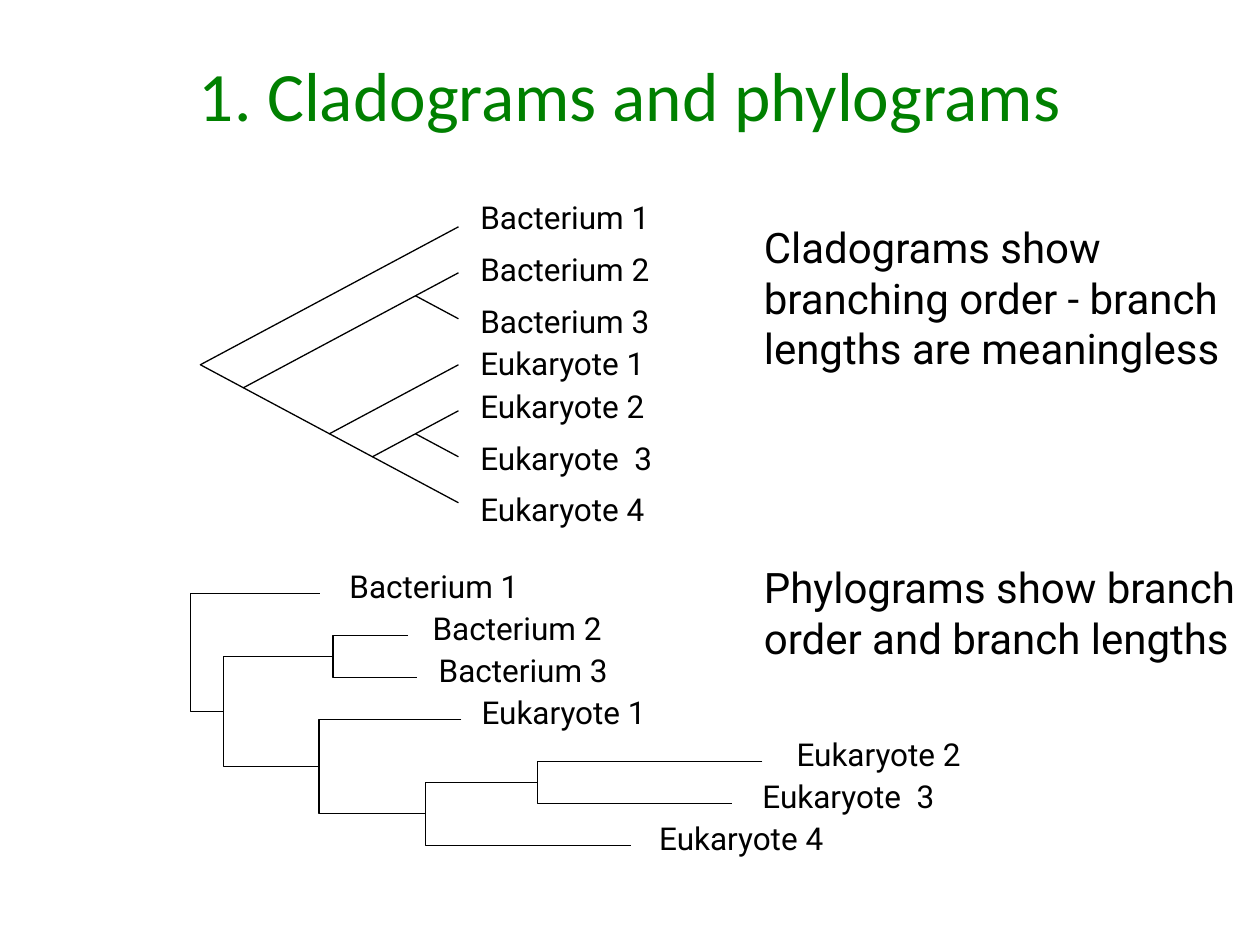
from collections import namedtuple

from lxml.etree import SubElement
from pptx import Presentation
from pptx.dml.color import RGBColor
from pptx.enum.shapes import MSO_CONNECTOR
from pptx.enum.text import MSO_ANCHOR, PP_ALIGN
from pptx.oxml.ns import qn
from pptx.util import Pt

BLACK = RGBColor(0x00, 0x00, 0x00)
GREEN = RGBColor(0x00, 0x80, 0x00)
LINE_WIDTH = Pt(0.75)

Tip = namedtuple("Tip", "row x label_x name")
Node = namedtuple("Node", "x upper lower")

SPECIES = ["Bacterium 1", "Bacterium 2", "Bacterium 3", "Eukaryote 1",
           "Eukaryote 2", "Eukaryote  3", "Eukaryote 4"]
CLADOGRAM_LABEL_TOPS = [-16.5, 13, 43, 67, 91.5, 121, 150.5]
PHYLOGRAM_TIPS = [Tip(row, x, label_x, name) for row, (x, label_x, name) in enumerate(zip(
    [74, 124.5, 129.5, 155, 327, 309.5, 252],
    [88, 135.5, 139, 163.5, 343.5, 324, 265],
    SPECIES))]


def add_text(slide, text, left, top, width, height, size, font="Roboto", color=BLACK,
             margins=(3, 0, 3, 0), alignment=PP_ALIGN.LEFT):
    box = slide.shapes.add_textbox(Pt(left), Pt(top), Pt(width), Pt(height))
    frame = box.text_frame
    frame.word_wrap = True
    frame.vertical_anchor = MSO_ANCHOR.TOP
    (frame.margin_left, frame.margin_top,
     frame.margin_right, frame.margin_bottom) = map(Pt, margins)
    paragraph = frame.paragraphs[0]
    paragraph.text = text
    paragraph.alignment = alignment
    paragraph.font.name = font
    paragraph.font.size = Pt(size)
    paragraph.font.color.rgb = color


def add_label(slide, text, left, top):
    add_text(slide, text, left, top, 116, 35, 18)


def add_branch(slide, start, end):
    branch = slide.shapes.add_connector(
        MSO_CONNECTOR.STRAIGHT, *map(Pt, start), *map(Pt, end))
    branch.line.color.rgb = BLACK
    branch.line.width = LINE_WIDTH
    SubElement(branch.element.spPr, qn("a:effectLst"))


def add_outline(slide, points):
    (start_x, start_y), *rest = [(Pt(x), Pt(y)) for x, y in points]
    builder = slide.shapes.build_freeform(start_x, start_y)
    builder.add_line_segments(rest, close=False)
    outline = builder.convert_to_shape()
    outline.shadow.inherit = False
    outline.fill.background()
    outline.line.color.rgb = BLACK
    outline.line.width = LINE_WIDTH


def add_cladogram(slide, left, top, width, height):
    last = len(SPECIES) - 1

    def point(depth, row):
        return left + depth * width, top + row * height / last

    add_outline(slide, [point(1, 0), point(0, last / 2), point(1, last)])
    for row in (1, 3, 4):
        depth = row / last
        add_branch(slide, point(1, row), point(depth, (row + last) / 2))
    for row in (2, 5):
        add_branch(slide, point(1, row), point(1 - 1 / last, row - 0.5))
    for name, label_top in zip(SPECIES, CLADOGRAM_LABEL_TOPS):
        add_label(slide, name, left + width + 9.5, top + label_top)


def add_phylogram(slide, left, top, row_height, tree):
    def draw(branch):
        if isinstance(branch, Tip):
            add_label(slide, branch.name, left + branch.label_x,
                      top + branch.row * row_height - 15)
            return branch.row
        upper_row, lower_row = draw(branch.upper), draw(branch.lower)
        upper_y, lower_y = top + upper_row * row_height, top + lower_row * row_height
        add_outline(slide, [(left + branch.upper.x, upper_y), (left + branch.x, upper_y),
                            (left + branch.x, lower_y), (left + branch.lower.x, lower_y)])
        return (upper_row + lower_row) / 2

    draw(tree)


def main():
    presentation = Presentation()
    presentation.slide_width, presentation.slide_height = Pt(720), Pt(540)
    slide = presentation.slides.add_slide(presentation.slide_layouts[6])

    add_text(slide, "1. Cladograms and phylograms", 36, 21.6, 648, 90, 39.6,
             "Calibri", GREEN, (7.2, 8, 7.2, 3.6), PP_ALIGN.CENTER)

    add_cladogram(slide, 114.5, 129.6, 147.5, 157.7)
    add_text(slide, "Cladograms show branching order - branch lengths are meaningless",
             433.5, 126.7, 272, 126, 24)

    bacterium_1, bacterium_2, bacterium_3, eukaryote_1, *others = PHYLOGRAM_TIPS
    eukaryote_2, eukaryote_3, eukaryote_4 = others
    bacteria = Node(81.5, bacterium_2, bacterium_3)
    close_eukaryotes = Node(198.5, eukaryote_2, eukaryote_3)
    eukaryotes = Node(73.5, eukaryote_1, Node(134.5, close_eukaryotes, eukaryote_4))
    tree = Node(0, bacterium_1, Node(19, bacteria, eukaryotes))
    add_phylogram(slide, 108.7, 339, 24, tree)
    add_text(slide, "Phylograms show branch order and branch lengths",
             433.5, 321, 278, 96, 24)

    presentation.save("out.pptx")


if __name__ == "__main__":
    main()
